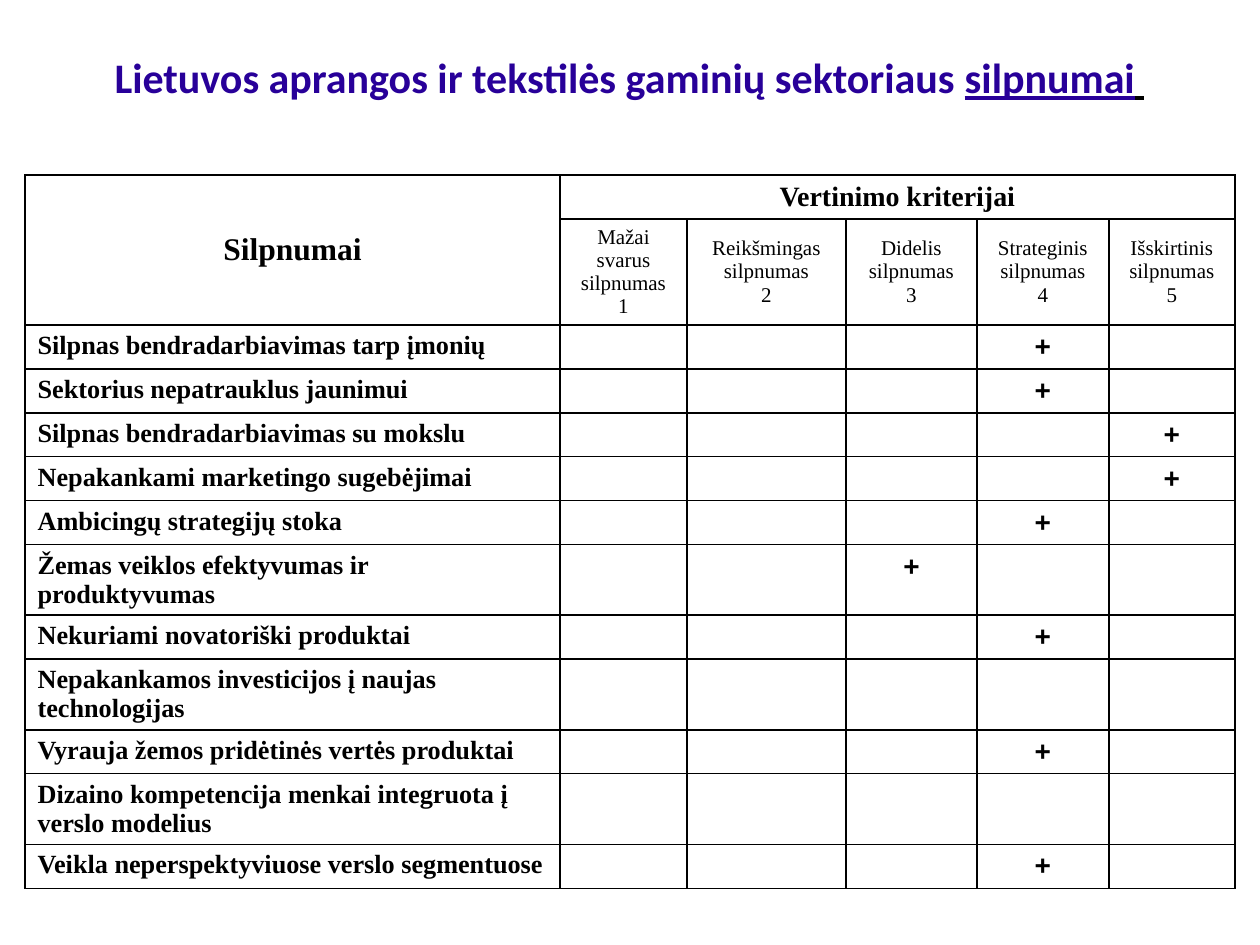
"""Builds a slide that rates the weaknesses of the Lithuanian clothing and textile sector."""
import pptx
import pptx.dml.color
import pptx.enum.text
import pptx.oxml
import pptx.oxml.ns
import pptx.util

THEME = {
    "title": {"font": "Calibri", "size": 24, "color": "280099", "bold": True},
    "corner": {"font": "Times New Roman", "size": 18, "color": "000000", "bold": True},
    "criteria": {"font": "Times New Roman", "size": 16, "color": "000000", "bold": True},
    "grade": {"font": "Times New Roman", "size": 12, "color": "000000", "bold": False},
    "weakness": {"font": "Times New Roman", "size": 15, "color": "000000", "bold": True},
    "mark": {"font": "Arial", "size": 16, "color": "000000", "bold": True},
    "border": "000000",
}
HEADING = ["Lietuvos aprangos ir tekstilės gaminių sektoriaus ", "silpnumai", " "]
GRADES = ["Mažai svarus silpnumas", "Reikšmingas silpnumas", "Didelis silpnumas",
          "Strateginis silpnumas", "Išskirtinis silpnumas"]
WEAKNESSES = [
    ("Silpnas bendradarbiavimas tarp įmonių", 4),
    ("Sektorius nepatrauklus jaunimui", 4),
    ("Silpnas bendradarbiavimas su mokslu", 5),
    ("Nepakankami marketingo sugebėjimai", 5),
    ("Ambicingų strategijų stoka", 4),
    ("Žemas veiklos efektyvumas ir produktyvumas", 3),
    ("Nekuriami novatoriški produktai", 4),
    ("Nepakankamos investicijos į naujas technologijas", None),
    ("Vyrauja žemos pridėtinės vertės produktai", 4),
    ("Dizaino kompetencija menkai integruota į verslo modelius", None),
    ("Veikla neperspektyviuose verslo segmentuose", 4),
]
COLUMN_WIDTHS = [535, 127, 159, 131, 132, 126]
SINGLE_ROW, DOUBLE_ROW, GRADE_ROW = 44, 70, 105
LONGEST_SINGLE = 43
ROW_HEIGHTS = [SINGLE_ROW, GRADE_ROW] + [
    DOUBLE_ROW if len(weakness) > LONGEST_SINGLE or weakness.startswith("Žemas") else SINGLE_ROW
    for weakness, grade in WEAKNESSES]

CENTER = pptx.enum.text.PP_ALIGN.CENTER
LEFT = pptx.enum.text.PP_ALIGN.LEFT
MIDDLE = pptx.enum.text.MSO_ANCHOR.MIDDLE


def px(length):
    """Turns pixels into EMU."""
    return pptx.util.Emu(round(length * 914400 / 126))


def write(paragraph, text, align=CENTER, underline=None, **style):
    """Adds one formatted run to a paragraph."""
    paragraph.alignment = align
    run = paragraph.add_run()
    run.text = text
    run.font.name = style["font"]
    run.font.size = pptx.util.Pt(style["size"])
    run.font.bold = style["bold"]
    run.font.underline = underline
    run.font.color.rgb = pptx.dml.color.RGBColor.from_string(style["color"])


def frame(cell):
    """Clears a cell's fill and draws its four borders."""
    cell.fill.background()
    properties = cell._tc.get_or_add_tcPr()
    for position, side in enumerate(("lnL", "lnR", "lnT", "lnB")):
        properties.insert(position, pptx.oxml.parse_xml(
            f'<a:{side} {pptx.oxml.ns.nsdecls("a")} w="12700"><a:solidFill>'
            f'<a:srgbClr val="{THEME["border"]}"/></a:solidFill></a:{side}>'))


deck = pptx.Presentation()
deck.slide_width, deck.slide_height = px(1260), px(945)
slide = deck.slides.add_slide(deck.slide_layouts[5])

title = slide.shapes.title
title.left, title.top, title.width, title.height = px(34), px(35), px(1191), px(84)
title.text_frame.vertical_anchor = MIDDLE
for part, underline, color in zip(HEADING, (None, True, True), ("280099", "280099", "000000")):
    write(title.text_frame.paragraphs[0], part, underline=underline,
          **{**THEME["title"], "color": color})

ratings = slide.shapes.add_table(
    len(ROW_HEIGHTS), len(COLUMN_WIDTHS), px(25), px(175),
    px(sum(COLUMN_WIDTHS)), px(sum(ROW_HEIGHTS))).table
ratings.first_row = ratings.horz_banding = False
for column, width in zip(ratings.columns, COLUMN_WIDTHS):
    column.width = px(width)
for row, height in zip(ratings.rows, ROW_HEIGHTS):
    row.height = px(height)
for cell in ratings.iter_cells():
    frame(cell)

corner, criteria = ratings.cell(0, 0), ratings.cell(0, 1)
corner.merge(ratings.cell(1, 0))
corner.vertical_anchor = MIDDLE
write(corner.text_frame.paragraphs[0], "Silpnumai", **THEME["corner"])
criteria.merge(ratings.cell(0, len(GRADES)))
write(criteria.text_frame.paragraphs[0], "Vertinimo kriterijai", **THEME["criteria"])

for number, grade in enumerate(GRADES, 1):
    cell = ratings.cell(1, number)
    cell.vertical_anchor = MIDDLE
    write(cell.text_frame.paragraphs[0], grade, **THEME["grade"])
    write(cell.text_frame.add_paragraph(), str(number), **THEME["grade"])

for line, (weakness, rating) in enumerate(WEAKNESSES, 2):
    write(ratings.cell(line, 0).text_frame.paragraphs[0], weakness, LEFT, **THEME["weakness"])
    for number in range(1, len(GRADES) + 1):
        paragraph = ratings.cell(line, number).text_frame.paragraphs[0]
        if number == rating:
            write(paragraph, "+", **THEME["mark"])
        else:
            paragraph._p.append(pptx.oxml.parse_xml(
                f'<a:endParaRPr {pptx.oxml.ns.nsdecls("a")} sz="{THEME["grade"]["size"] * 100}"/>'))

deck.save("out.pptx")
